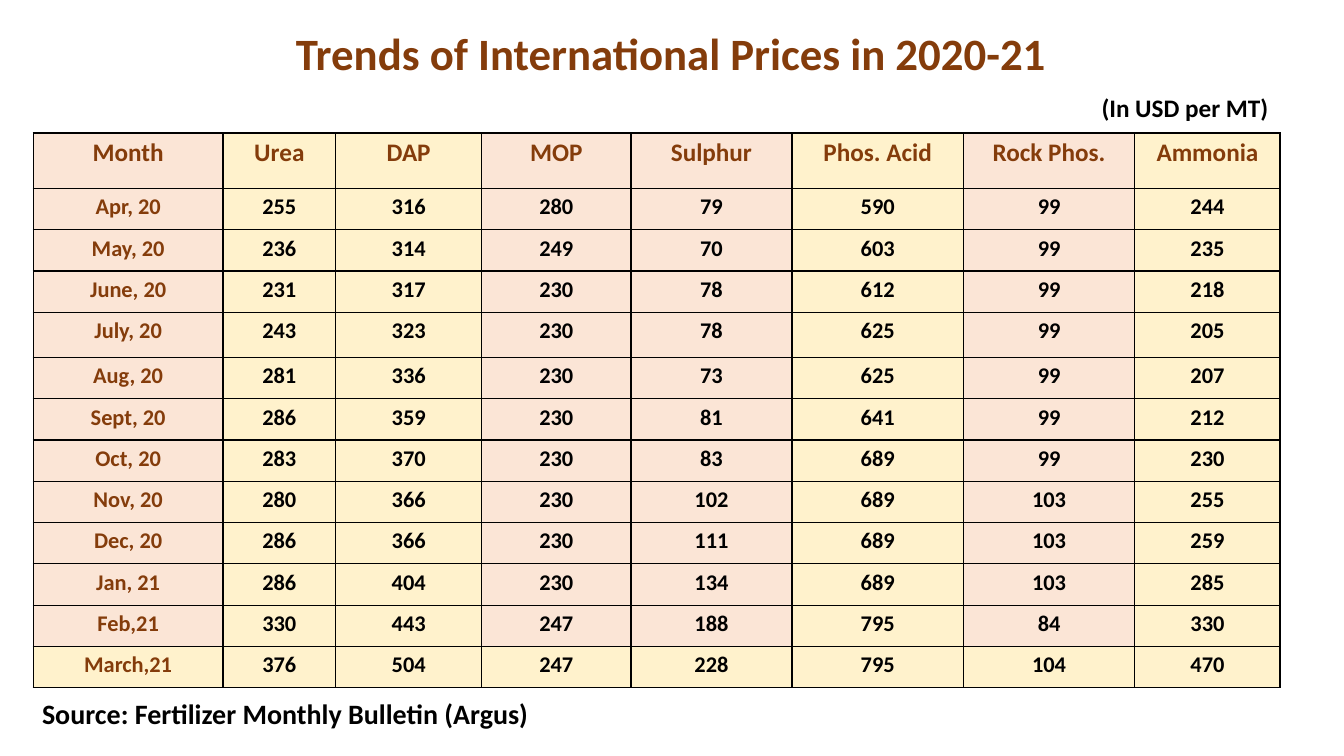
from lxml.etree import SubElement as Sub
from pptx import Presentation as Deck
from pptx.dml.color import RGBColor as Rgb
from pptx.enum.text import MSO_ANCHOR as Anchor, MSO_AUTO_SIZE as Fit, PP_ALIGN as Align
from pptx.oxml.ns import qn
from pptx.util import Cm, Pt

HUES = {"brown": "843C0B", "black": "000000", "peach": "FBE5D6", "cream": "FFF2CC"}
HEADS = ["Month", "Urea", "DAP", "MOP", "Sulphur", "Phos. Acid", "Rock Phos.", "Ammonia"]
PRICES = [
    ("Apr, 20", 255, 316, 280, 79, 590, 99, 244),
    ("May, 20", 236, 314, 249, 70, 603, 99, 235),
    ("June, 20", 231, 317, 230, 78, 612, 99, 218),
    ("July, 20", 243, 323, 230, 78, 625, 99, 205),
    ("Aug, 20", 281, 336, 230, 73, 625, 99, 207),
    ("Sept, 20", 286, 359, 230, 81, 641, 99, 212),
    ("Oct, 20", 283, 370, 230, 83, 689, 99, 230),
    ("Nov, 20", 280, 366, 230, 102, 689, 103, 255),
    ("Dec, 20", 286, 366, 230, 111, 689, 103, 259),
    ("Jan, 21", 286, 404, 230, 134, 689, 103, 285),
    ("Feb,21", 330, 443, 247, 188, 795, 84, 330),
    ("March,21", 376, 504, 247, 228, 795, 104, 470),
]
TINTS = ["peach", "cream", "cream", "peach", "peach", "cream", "peach", "cream"]
WIDTHS = [4.78, 2.84, 3.68, 3.76, 4.06, 4.32, 4.32, 3.66]
HEIGHTS = [1.4] + [1.04] * 3 + [1.14] + [1.04] * 8


def hue(name):
    return Rgb.from_string(HUES[name])


def write(frame, text, size, color, align):
    frame.text = text
    para = frame.paragraphs[0]
    para.alignment = align
    font = para.font
    font.name, font.size, font.bold = "Calibri", Pt(size), True
    font.color.rgb = hue(color)
    return para


def head(slide, text):
    title = slide.shapes.title
    title.left, title.top = Cm(5.97), Cm(0.2)
    title.width, title.height = Cm(21.89), Cm(2.41)
    frame = title.text_frame
    frame.vertical_anchor = Anchor.MIDDLE
    write(frame, text, 32, "brown", Align.CENTER).line_spacing = 0.9


def label(slide, text, size, *box):
    frame = slide.shapes.add_textbox(*map(Cm, box)).text_frame
    frame.word_wrap = False
    frame.auto_size = Fit.SHAPE_TO_FIT_TEXT
    write(frame, text, size, "black", Align.LEFT)


def edge(cell):
    props = cell._tc.get_or_add_tcPr()
    for spot, side in enumerate(("a:lnL", "a:lnR", "a:lnT", "a:lnB")):
        line = props.makeelement(qn(side), {"w": str(Pt(1))})
        props.insert(spot, line)
        fill = Sub(line, qn("a:solidFill"))
        Sub(fill, qn("a:srgbClr"), val=HUES["black"])


def grid(slide, rows):
    table = slide.shapes.add_table(
        len(rows), len(HEADS), Cm(0.84), Cm(3.35), Cm(sum(WIDTHS)), Cm(sum(HEIGHTS))
    ).table
    table.first_row = table.horz_banding = False
    for col, width in zip(table.columns, WIDTHS):
        col.width = Cm(width)
    for row, height in zip(table.rows, HEIGHTS):
        row.height = Cm(height)
    last = len(rows) - 1
    for r, row in enumerate(rows):
        for c, value in enumerate(row):
            cell = table.cell(r, c)
            cell.margin_left = cell.margin_right = Cm(0.18)
            cell.fill.solid()
            cell.fill.fore_color.rgb = hue("cream" if r == last else TINTS[c])
            color = "brown" if r == 0 or c == 0 else "black"
            write(cell.text_frame, str(value), 16 if r else 18, color, Align.CENTER)
            edge(cell)


def main():
    deck = Deck()
    deck.slide_width, deck.slide_height = Cm(33.87), Cm(19.05)
    slide = deck.slides.add_slide(deck.slide_layouts.get_by_name("Title Only"))
    head(slide, "Trends of International Prices in 2020-21")
    grid(slide, [HEADS] + PRICES)
    label(slide, "(In USD per MT)", 18, 27.51, 2.21, 4.75, 1.02)
    label(slide, "Source: Fertilizer Monthly Bulletin (Argus)", 20, 0.81, 17.42, 13.21, 1.12)
    deck.save("out.pptx")


if __name__ == "__main__":
    main()
